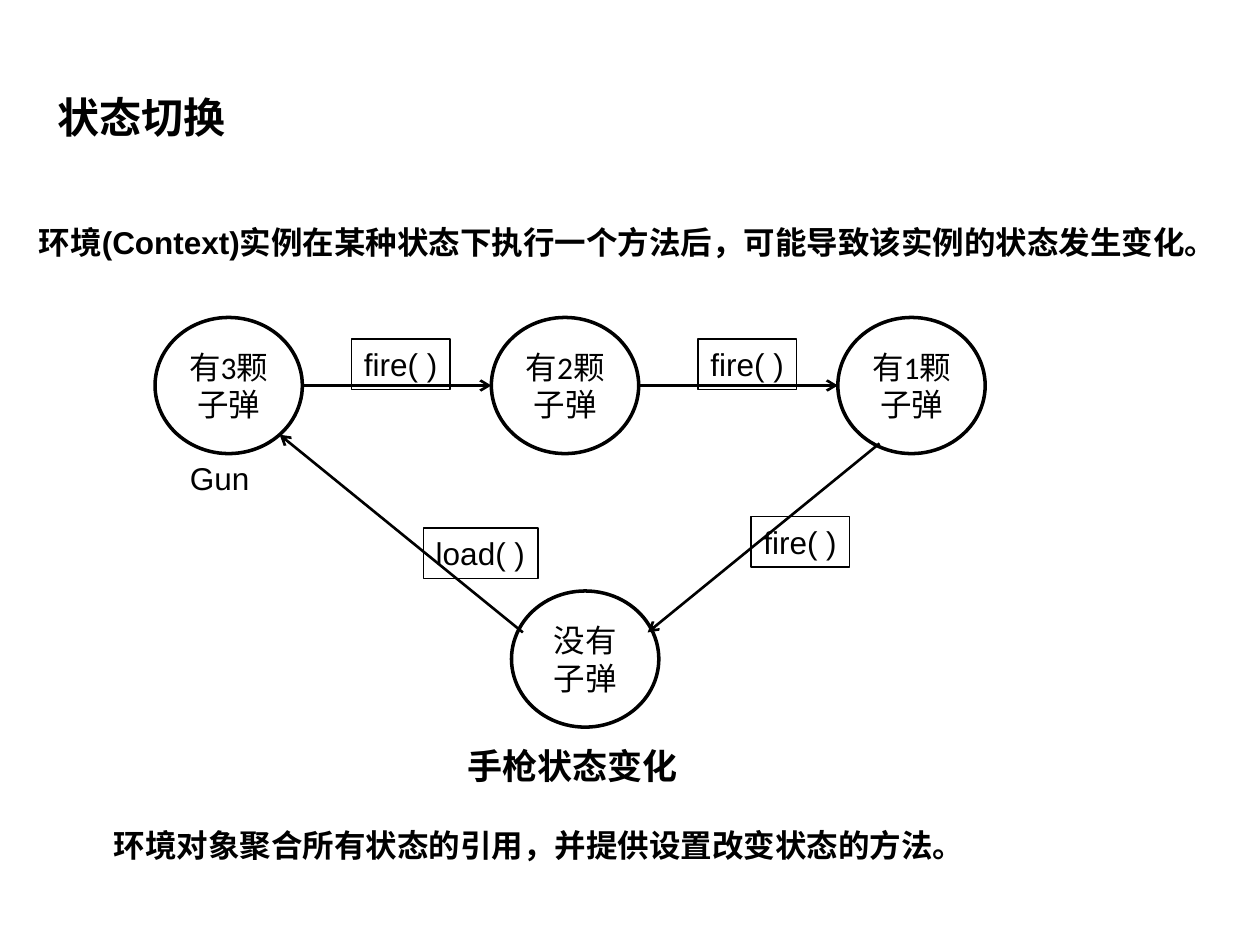
import pptx
import pptx.util
import pptx.dml.color
import pptx.enum.shapes
import pptx.enum.text
import pptx.oxml.ns
from lxml import etree

Pt = pptx.util.Pt
BLACK = "000000"
STATE_W, STATE_H = 84.2, 77.8
ROW_TOP = 181.4
ROW_MIDDLE = ROW_TOP + STATE_H / 2
LABEL_H = 28.8


def color(hex_string):
    return pptx.dml.color.RGBColor.from_string(hex_string)


def write(frame, text, size=18, font="Arial", bold=False):
    run = frame.paragraphs[0].add_run()
    run.text = text
    run.font.size = Pt(size)
    run.font.name = font
    run.font.bold = bold
    run.font.color.rgb = color(BLACK)


def add_text(slide, text, left, top, width, height, size=18, bold=True, wrap=False):
    frame = slide.shapes.add_textbox(Pt(left), Pt(top), Pt(width), Pt(height)).text_frame
    frame.word_wrap = wrap
    frame.auto_size = pptx.enum.text.MSO_AUTO_SIZE.SHAPE_TO_FIT_TEXT
    write(frame, text, size, bold=bold)


def add_outline(slide, preset, left, top, width, height, weight):
    """Add an unfilled preset shape with a black line."""
    outline = slide.shapes.add_shape(preset, Pt(left), Pt(top), Pt(width), Pt(height))
    outline.shadow.inherit = False
    outline.fill.background()
    outline.line.color.rgb = color(BLACK)
    outline.line.width = Pt(weight)
    return outline


def add_state(slide, text, left, top):
    state = add_outline(slide, pptx.enum.shapes.MSO_SHAPE.OVAL, left, top, STATE_W, STATE_H, 2)
    frame = state.text_frame
    frame.word_wrap = True
    frame.vertical_anchor = pptx.enum.text.MSO_ANCHOR.MIDDLE
    frame.paragraphs[0].alignment = pptx.enum.text.PP_ALIGN.CENTER
    write(frame, text, font="Calibri")


def add_method(slide, text, left, top, width):
    method = add_outline(slide, pptx.enum.shapes.MSO_SHAPE.RECTANGLE, left, top, width, LABEL_H, 0.75)
    frame = method.text_frame
    frame.word_wrap = False
    frame.auto_size = pptx.enum.text.MSO_AUTO_SIZE.SHAPE_TO_FIT_TEXT
    frame.vertical_anchor = pptx.enum.text.MSO_ANCHOR.TOP
    frame.paragraphs[0].alignment = pptx.enum.text.PP_ALIGN.LEFT
    write(frame, text)


def add_transition(slide, x1, y1, x2, y2):
    transition = slide.shapes.add_connector(
        pptx.enum.shapes.MSO_CONNECTOR.STRAIGHT, Pt(x1), Pt(y1), Pt(x2), Pt(y2))
    transition.line.color.rgb = color(BLACK)
    transition.line.width = Pt(1.5)
    qn = pptx.oxml.ns.qn
    etree.SubElement(transition.line._get_or_add_ln(), qn("a:tailEnd"), type="arrow")
    etree.SubElement(transition._element.spPr, qn("a:effectLst"))


def main():
    deck = pptx.Presentation()
    deck.slide_width, deck.slide_height = Pt(720), Pt(540)
    slide = deck.slides.add_slide(deck.slide_layouts[6])

    add_text(slide, "状态切换", 25.9, 49, 110.2, 36, size=24)
    add_text(slide, "环境(Context)实例在某种状态下执行一个方法后，可能导致该实例的状态发生变化。",
             15.1, 123.8, 695.5, LABEL_H)

    state_lefts = [88.6, 280.8, 478.8]
    for bullets, left in zip((3, 2, 1), state_lefts):
        add_state(slide, f"有{bullets}颗子弹", left, ROW_TOP)
    add_state(slide, "没有子弹", 292.3, 337.7)

    for left, right in zip(state_lefts, state_lefts[1:]):
        add_transition(slide, left + STATE_W, ROW_MIDDLE, right, ROW_MIDDLE)
    add_transition(slide, 502.6, 253.4, 370.1, 361.4)
    add_transition(slide, 298.8, 361.4, 159.8, 248.4)

    for left, top in ((200.9, 193.7), (398.9, 193.7), (429.1, 295.2)):
        add_method(slide, "fire( )", left, top, 56.2)
    add_method(slide, "load( )", 241.9, 301.7, 65.5)

    add_text(slide, "Gun", 101.5, 258.5, 48.2, LABEL_H, bold=False)
    add_text(slide, "手枪状态变化", 259.9, 421.9, 134.6, 31.7, size=20)
    add_text(slide, "环境对象聚合所有状态的引用，并提供设置改变状态的方法。",
             58, 468.7, 629, LABEL_H, wrap=True)
    deck.save("out.pptx")


if __name__ == "__main__":
    main()
